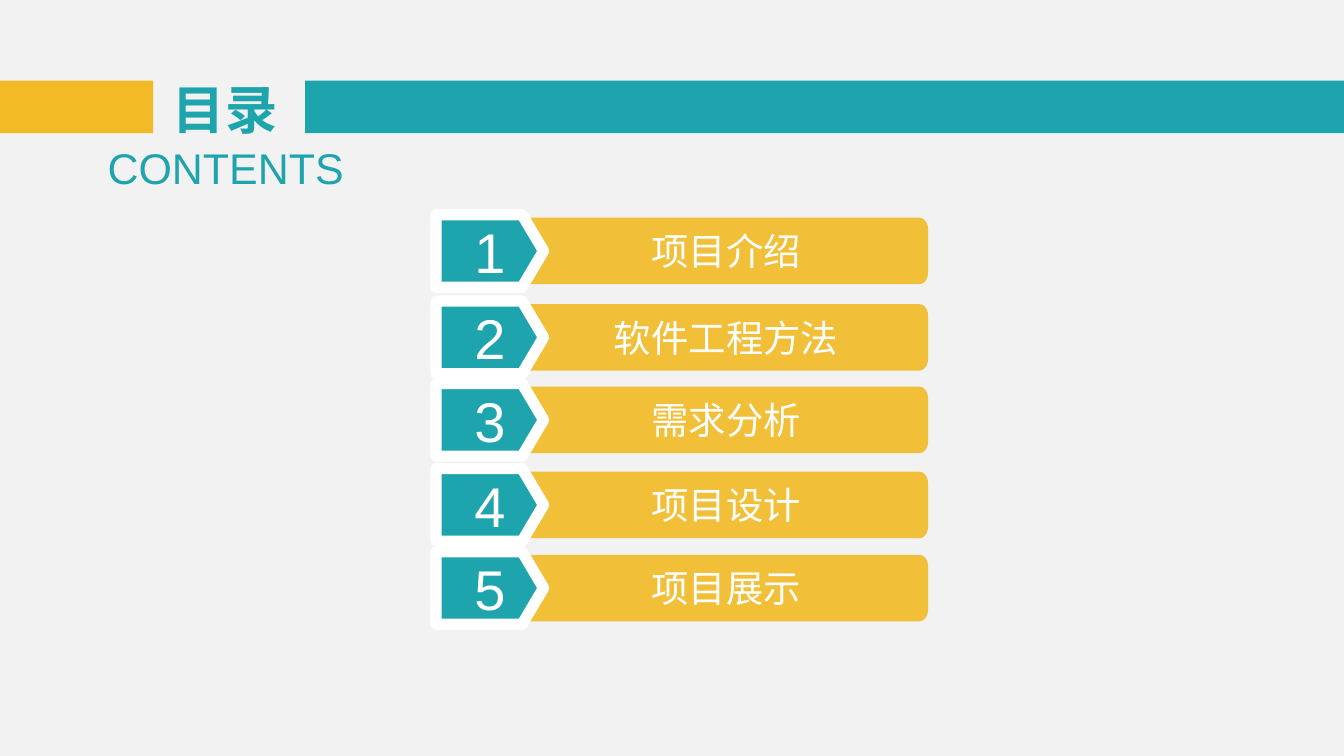
import math
import lxml.etree
import pptx
import pptx.dml.color
import pptx.enum.shapes
import pptx.enum.text
import pptx.oxml.ns
import pptx.util

TEAL = pptx.dml.color.RGBColor(0x1E, 0xA4, 0xAD)
GOLD = pptx.dml.color.RGBColor(0xF2, 0xBA, 0x25)
WHITE = pptx.dml.color.RGBColor(0xFF, 0xFF, 0xFF)
PALE = pptx.dml.color.RGBColor(0xF2, 0xF2, 0xF2)

COLUMNS = 1000
CELL = pptx.util.Inches(10) // COLUMNS

deck = pptx.Presentation()
deck.slide_width = COLUMNS * CELL
deck.slide_height = deck.slide_width * 9 // 16
page = deck.slides.add_slide(deck.slide_layouts[6])
page.background.fill.solid()
page.background.fill.fore_color.rgb = PALE


def write(shape, text, size, color, anchor=pptx.enum.text.MSO_ANCHOR.MIDDLE, bold=False):
    frame = shape.text_frame
    frame.margin_left = frame.margin_right = frame.margin_top = frame.margin_bottom = 0
    frame.word_wrap = True
    frame.vertical_anchor = anchor
    frame.text = text
    para = frame.paragraphs[0]
    para.alignment = pptx.enum.text.PP_ALIGN.CENTER
    span = para.runs[0]
    span.font.name = "Arial"
    span.font.size = pptx.util.Pt(size)
    span.font.bold = bold
    span.font.color.rgb = color


def outline(points, color):
    corners = [(round(x * CELL), round(y * CELL)) for x, y in points]
    builder = page.shapes.build_freeform(*corners[0])
    builder.add_line_segments(corners[1:], close=True)
    shape = builder.convert_to_shape()
    shape.shadow.inherit = False
    shape.fill.solid()
    shape.fill.fore_color.rgb = color
    shape.line.fill.background()
    return shape


for left, width, color in [(0, 114, GOLD), (227, COLUMNS - 227, TEAL)]:
    band = page.shapes.add_shape(
        pptx.enum.shapes.MSO_SHAPE.RECTANGLE, left * CELL, 60 * CELL, width * CELL, 39 * CELL
    )
    band.shadow.inherit = False
    band.fill.solid()
    band.fill.fore_color.rgb = color
    band.line.fill.background()

title = page.shapes.add_textbox(123 * CELL, 57 * CELL, 89 * CELL, 48 * CELL)
write(title, "目录", 28, TEAL, bold=True)
subtitle = page.shapes.add_textbox(67 * CELL, 105 * CELL, 202 * CELL, 39 * CELL)
write(subtitle, "CONTENTS", 23, TEAL, pptx.enum.text.MSO_ANCHOR.TOP)

LABEL_LEFT, LABEL_RIGHT, LABEL_HEIGHT = 390, 690.5, 49.5
CORNER_WIDTH, CORNER_HEIGHT = 6.5, 8.5
ARROW_LEFT, ARROW_SHOULDER, ARROW_TIP, ARROW_HEIGHT = 324.5, 388.5, 404.5, 54
ARC = [math.radians(angle) for angle in range(0, 91, 15)]

topics = [
    ("项目介绍", 162),
    ("软件工程方法", 226.3),
    ("需求分析", 287.7),
    ("项目设计", 351),
    ("项目展示", 412.8),
]
for number, (topic, top) in enumerate(topics, 1):
    bottom = top + LABEL_HEIGHT
    middle = (top + bottom) / 2
    arc_x = LABEL_RIGHT - CORNER_WIDTH
    upper = [
        (arc_x + CORNER_WIDTH * math.sin(a), top + CORNER_HEIGHT * (1 - math.cos(a))) for a in ARC
    ]
    lower = [(x, top + bottom - y) for x, y in reversed(upper)]
    label = outline([(LABEL_LEFT, top), *upper, *lower, (LABEL_LEFT, bottom)], GOLD)
    tint = label.fill._xPr.find(".//" + pptx.oxml.ns.qn("a:srgbClr"))
    lxml.etree.SubElement(tint, pptx.oxml.ns.qn("a:alpha"), val="90000")
    write(label, topic, 20, WHITE)

    arrow_top, arrow_bottom = middle - ARROW_HEIGHT / 2, middle + ARROW_HEIGHT / 2
    arrow = outline(
        [
            (ARROW_LEFT, arrow_top),
            (ARROW_SHOULDER, arrow_top),
            (ARROW_TIP, middle),
            (ARROW_SHOULDER, arrow_bottom),
            (ARROW_LEFT, arrow_bottom),
        ],
        TEAL,
    )
    arrow.line.color.rgb = WHITE
    arrow.line.width = pptx.util.Pt(6)
    edge = arrow.line._get_or_add_ln()
    lxml.etree.SubElement(edge, pptx.oxml.ns.qn("a:round"))
    write(arrow, str(number), 30, WHITE)

deck.save("out.pptx")
